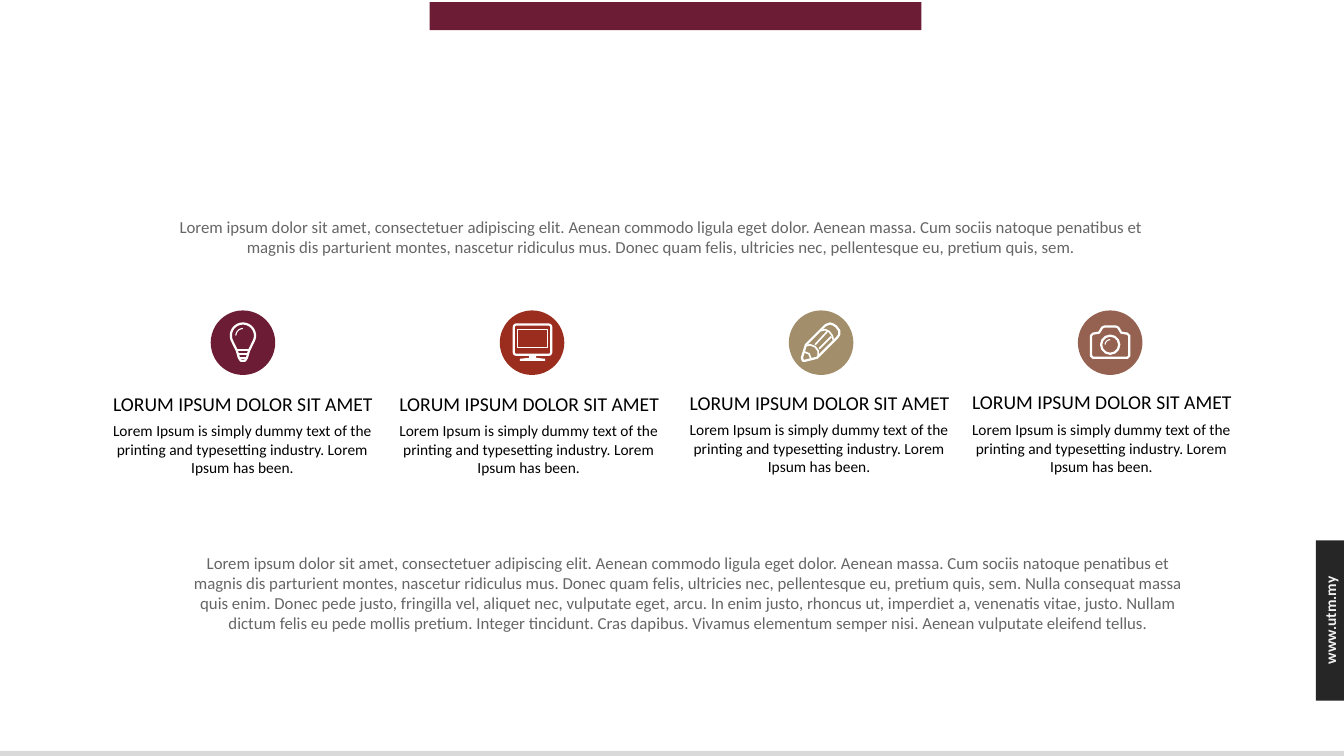
import math

from pptx import Presentation
from pptx.dml.color import RGBColor
from pptx.enum import shapes, text
from pptx.util import Inches, Pt

COLORS = {
    "maroon": "6C1D35", "red": "9B2D1F", "sand": "A28E6A", "brown": "956251",
    "strip": "D9D9D9", "dark": "262626", "url": "F2F2F2",
    "gray": "666666", "black": "000000", "white": "FFFFFF",
}
HEADING = "LORUM IPSUM DOLOR SIT AMET"
BODY = ("Lorem Ipsum is simply dummy text of the printing and typesetting "
        "industry. Lorem Ipsum has been.")
INTRO = ("Lorem ipsum dolor sit amet, consectetuer adipiscing elit. Aenean commodo "
         "ligula eget dolor. Aenean massa. Cum sociis natoque penatibus et magnis dis "
         "parturient montes, nascetur ridiculus mus. Donec quam felis, ultricies nec, "
         "pellentesque eu, pretium quis, sem.")
CLOSING = INTRO + (
    " Nulla consequat massa quis enim. Donec pede justo, fringilla vel, aliquet nec, "
    "vulputate eget, arcu. In enim justo, rhoncus ut, imperdiet a, venenatis vitae, "
    "justo. Nullam dictum felis eu pede mollis pretium. Integer tincidunt. Cras "
    "dapibus. Vivamus elementum semper nisi. Aenean vulputate eleifend tellus.")
RECT = shapes.MSO_SHAPE.RECTANGLE
ROUNDED = shapes.MSO_SHAPE.ROUNDED_RECTANGLE
OVAL = shapes.MSO_SHAPE.OVAL
CIRCLE_SIZE = 0.64
CIRCLE_Y = 3.4


def rgb(name):
    """Return the named palette colour."""
    return RGBColor.from_string(COLORS[name])


def paint(sp, fill=None, line=None, width=1.6):
    """Set the fill and outline of a shape and drop its shadow."""
    sp.shadow.inherit = False
    for part, color in ((sp.fill, fill), (sp.line.fill, line)):
        if color:
            part.solid()
            part.fore_color.rgb = rgb(color)
        else:
            part.background()
    if line:
        sp.line.width = Pt(width)


def add_block(s, kind, x, y, w, h, **style):
    """Add a painted preset shape."""
    sp = s.shapes.add_shape(kind, Inches(x), Inches(y), Inches(w), Inches(h))
    paint(sp, **style)
    return sp


def add_outline(s, cx, cy, points, close=False, **style):
    """Add a freeform through points given relative to an icon centre."""
    spots = [(Inches(cx + x), Inches(cy + y)) for x, y in points]
    builder = s.shapes.build_freeform(*spots[0])
    builder.add_line_segments(spots[1:], close=close)
    paint(builder.convert_to_shape(), **(style or {"line": "white"}))


def add_text(s, x, y, w, h, words, size, color, inset=0.0, wrap=True, bold=False):
    """Add a centred text box."""
    sp = s.shapes.add_textbox(Inches(x), Inches(y), Inches(w), Inches(h))
    tf = sp.text_frame
    tf.word_wrap = wrap
    tf.auto_size = text.MSO_AUTO_SIZE.SHAPE_TO_FIT_TEXT
    tf.margin_left = tf.margin_right = Inches(inset)
    p = tf.paragraphs[0]
    p.text = words
    p.alignment = text.PP_ALIGN.CENTER
    p.font.name = "Calibri"
    p.font.size = Pt(size)
    p.font.bold = bold
    p.font.color.rgb = rgb(color)
    return sp


def arc(x, y, radius, start, end, steps=20):
    """Return points along an arc between two angles in degrees."""
    angles = [math.radians(start + (end - start) * i / steps) for i in range(steps + 1)]
    return [(x + radius * math.cos(a), y + radius * math.sin(a)) for a in angles]


def draw_bulb(s, cx, cy):
    """Draw the light bulb."""
    base = [(0.06, 0.08), (0.04, 0.15), (0.02, 0.18),
            (-0.02, 0.18), (-0.04, 0.15), (-0.06, 0.08)]
    add_outline(s, cx, cy, arc(0, -0.07, 0.12, -210, 30) + base, close=True)
    for half, y in ((0.06, 0.07), (0.05, 0.11), (0.04, 0.15)):
        add_outline(s, cx, cy, [(-half, y), (half, y)], line="white", width=1.2)
    add_outline(s, cx, cy, arc(0, -0.07, 0.07, 180, 270), line="white", width=0.8)


def draw_monitor(s, cx, cy):
    """Draw the computer screen."""
    sp = add_block(s, ROUNDED, cx - 0.18, cy - 0.18, 0.37, 0.3, line="white")
    sp.adjustments[0] = 0.08
    add_block(s, RECT, cx - 0.14, cy - 0.13, 0.29, 0.18, line="white", width=0.8)
    stand = [(-0.03, 0.12), (0.04, 0.12), (0.04, 0.15), (0.13, 0.16),
             (0.13, 0.18), (-0.12, 0.18), (-0.12, 0.16), (-0.03, 0.15)]
    add_outline(s, cx, cy, stand, close=True, fill="white")


def draw_pencil(s, cx, cy):
    """Draw the pencil."""
    body = [(0.15, -0.16), (0.12, -0.18), (0.09, -0.19), (0.06, -0.18), (0.04, -0.17),
            (-0.15, 0.02), (-0.19, 0.15), (-0.18, 0.18), (-0.16, 0.18), (-0.04, 0.15),
            (0.16, -0.05), (0.18, -0.08), (0.18, -0.12)]
    add_outline(s, cx, cy, body, close=True)
    details = (
        [(0.0, -0.12), (0.04, -0.13), (0.08, -0.11), (0.11, -0.07), (0.12, -0.03)],
        [(-0.15, 0.03), (-0.11, 0.02), (-0.06, 0.04), (-0.03, 0.08), (-0.03, 0.14)],
        [(-0.06, 0.02), (0.06, -0.11)],
        [(-0.02, 0.06), (0.1, -0.06)],
        [(-0.17, 0.09), (-0.12, 0.11), (-0.1, 0.16)],
    )
    for points in details:
        add_outline(s, cx, cy, points, line="white", width=1.2)


def draw_camera(s, cx, cy):
    """Draw the camera."""
    left = [(-0.06, -0.16), (-0.08, -0.15), (-0.11, -0.1), (-0.17, -0.09),
            (-0.19, -0.07), (-0.19, 0.13), (-0.17, 0.15)]
    body = left + [(-x, y) for x, y in reversed(left)]
    add_outline(s, cx, cy, body, close=True)
    add_block(s, OVAL, cx - 0.09, cy - 0.07, 0.18, 0.18, line="white")
    add_outline(s, cx, cy, arc(0, 0.02, 0.05, 180, 270), line="white", width=0.8)


def add_column(s, i, color, draw_icon, x, heading_y, body_y):
    """Add a circled icon with its heading and body text."""
    cx = 2.41 + 2.867 * i
    radius = CIRCLE_SIZE / 2
    add_block(s, OVAL, cx - radius, CIRCLE_Y - radius, CIRCLE_SIZE, CIRCLE_SIZE, fill=color)
    draw_icon(s, cx, CIRCLE_Y)
    add_text(s, x, body_y, 2.63, 0.66, BODY, 11, "black")
    add_text(s, x - 0.08, heading_y, 2.8, 0.34, HEADING, 14, "black", 0.1, wrap=False)


def add_frame(s):
    """Add the top bar, the bottom strip and the web address tab."""
    add_block(s, RECT, 4.26, 0.02, 4.88, 0.28, fill="maroon")
    add_block(s, RECT, 0, 7.45, 13.33, 0.05, fill="strip")
    add_block(s, RECT, 13.05, 5.36, 0.28, 1.59, fill="dark")
    sp = add_text(s, 12.44, 6.01, 1.51, 0.29, "www.utm.my", 11, "url", 0.1, bold=True)
    sp.rotation = 270


def main():
    """Build the slide and save it."""
    prs = Presentation()
    prs.slide_width, prs.slide_height = Inches(13.33), Inches(7.5)
    s = prs.slides.add_slide(prs.slide_layouts[6])
    add_frame(s)
    columns = (
        ("maroon", draw_bulb, 1.09, 3.84, 4.13),
        ("red", draw_monitor, 3.93, 3.84, 4.13),
        ("sand", draw_pencil, 6.81, 3.83, 4.12),
        ("brown", draw_camera, 9.61, 3.82, 4.12),
    )
    for i, column in enumerate(columns):
        add_column(s, i, *column)
    add_text(s, 1.56, 2.1, 10, 0.5, INTRO, 12, "gray")
    add_text(s, 1.83, 5.43, 10, 1.11, CLOSING, 12, "gray")
    prs.save("out.pptx")


if __name__ == "__main__":
    main()
